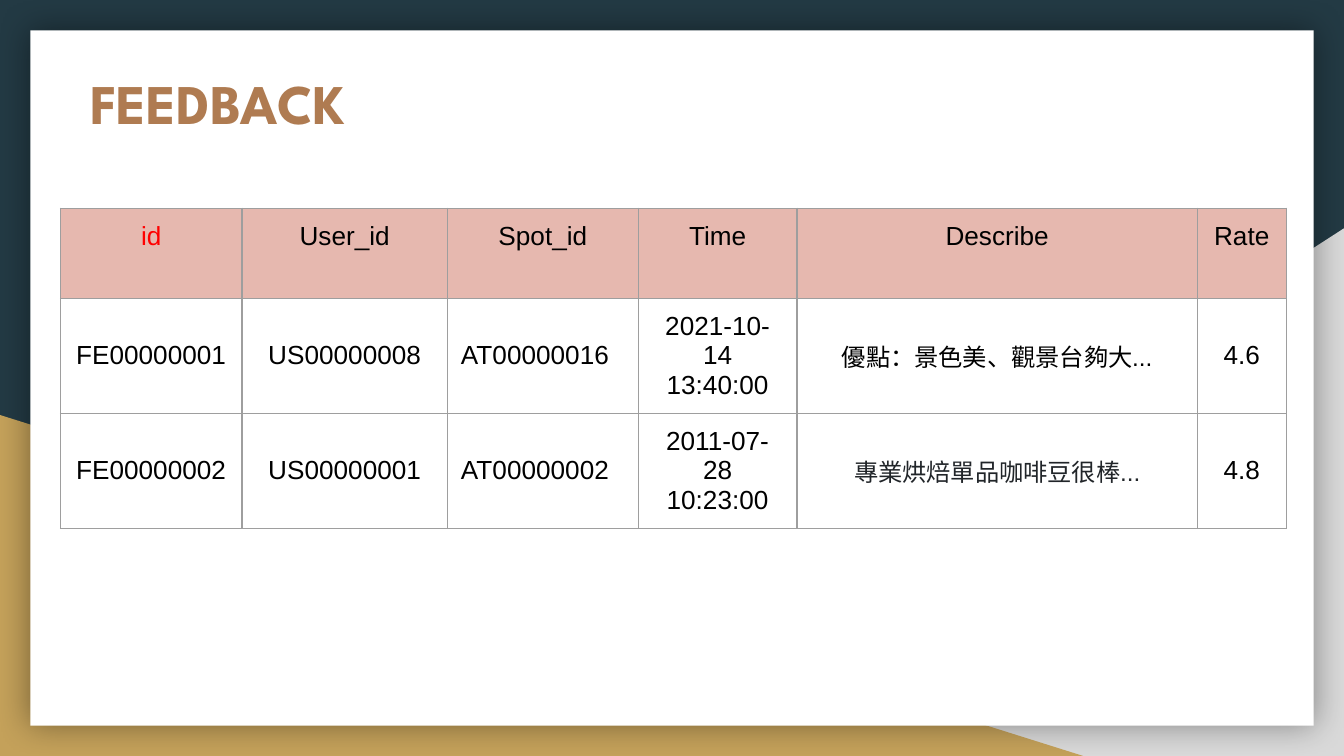
import pptx
import pptx.dml.color
import pptx.enum.shapes
import pptx.enum.text
import pptx.oxml
import pptx.oxml.ns
import pptx.util

RGB = pptx.dml.color.RGBColor
SHAPE = pptx.enum.shapes.MSO_SHAPE
ALIGN = pptx.enum.text.PP_ALIGN
ANCHOR = pptx.enum.text.MSO_ANCHOR
Pt = pptx.util.Pt
Inches = pptx.util.Inches

NAVY = RGB(0x23, 0x3A, 0x44)
GREY = RGB(0xD9, 0xD9, 0xD9)
GOLD = RGB(0xC4, 0xA1, 0x5A)
WHITE = RGB(0xFF, 0xFF, 0xFF)
BROWN = RGB(0xAF, 0x7B, 0x51)
PINK = RGB(0xE6, 0xB8, 0xAF)
RED = RGB(0xFF, 0, 0)
BLACK = RGB(0, 0, 0)
CHARCOAL = RGB(0x21, 0x25, 0x29)
BORDER = RGB(0x9E, 0x9E, 0x9E)

WIDTH = 10
HEIGHT = WIDTH * 9 / 16
MARGIN = Inches(0.1)
COLUMNS = [1.35, 1.53, 1.42, 1.18, 2.98, 0.66]
ROW_HEIGHTS = [0.67, 0.7, 0.7]
ROWS = [
    ["id", "User_id", "Spot_id", "Time", "Describe", "Rate"],
    ["FE00000001", "US00000008", "AT00000016", "2021-10-14 13:40:00",
     "優點：景色美、觀景台夠大...", "4.6"],
    ["FE00000002", "US00000001", "AT00000002", "2011-07-28 10:23:00",
     "專業烘焙單品咖啡豆很棒...", "4.8"],
]
SPOT, DESCRIBE = 2, 4


def add_run(p, text, size, font, color, bold=False):
    r = p.add_run()
    r.text = text
    r.font.size = Pt(size)
    r.font.name = font
    r.font.color.rgb = color
    r.font.bold = bold


def add_block(s, kind, box, color):
    sp = s.shapes.add_shape(kind, *map(Inches, box))
    sp.shadow.inherit = False
    sp.fill.solid()
    sp.fill.fore_color.rgb = color
    sp.line.fill.background()
    return sp


def add_backdrop(s, width, height):
    s.background.fill.solid()
    s.background.fill.fore_color.rgb = NAVY

    # Corner triangles, each resting on the bottom edge
    w, h = 0.608 * width, 0.698 * height
    right = add_block(s, SHAPE.RIGHT_TRIANGLE, (width - w, height - h, w, h), GREY)
    right._element.spPr.xfrm.set("flipH", "1")
    w, h = 0.806 * width, 0.451 * height
    add_block(s, SHAPE.RIGHT_TRIANGLE, (0, height - h, w, h), GOLD)

    # White card with a soft shadow
    edge = 0.04 * height
    card = add_block(s, SHAPE.RECTANGLE,
                     (edge, edge, width - 2 * edge, height - 2 * edge), WHITE)
    effects = card._element.spPr.find(pptx.oxml.ns.qn("a:effectLst"))
    effects.append(pptx.oxml.parse_xml(
        f'<a:outerShdw {pptx.oxml.ns.nsdecls("a")} blurRad="{Pt(18)}" dist="0" '
        'algn="ctr" rotWithShape="0"><a:srgbClr val="000000">'
        '<a:alpha val="40000"/></a:srgbClr></a:outerShdw>'))


def add_title(s, box, text):
    sp = s.shapes.title
    s.shapes._spTree.append(sp._element)  # bring in front of the card
    sp.left, sp.top, sp.width, sp.height = map(Inches, box)
    tf = sp.text_frame
    tf.margin_left = tf.margin_right = tf.margin_top = tf.margin_bottom = MARGIN
    tf.vertical_anchor = ANCHOR.TOP
    tf.auto_size = pptx.enum.text.MSO_AUTO_SIZE.NONE
    p = tf.paragraphs[0]
    p.alignment = ALIGN.LEFT
    add_run(p, text, 30, "League Spartan", BROWN, bold=True)


def set_borders(cell):
    tc_pr = cell._tc.get_or_add_tcPr()
    for side in ("lnL", "lnR", "lnT", "lnB"):
        tc_pr.append(pptx.oxml.parse_xml(
            f'<a:{side} {pptx.oxml.ns.nsdecls("a")} w="{Pt(0.75)}">'
            f'<a:solidFill><a:srgbClr val="{BORDER}"/></a:solidFill></a:{side}>'))


def fill_cell(cell, text, row, col):
    set_borders(cell)
    cell.margin_left = cell.margin_right = MARGIN
    cell.margin_top = cell.margin_bottom = MARGIN
    header = row == 0
    if header:
        cell.fill.solid()
        cell.fill.fore_color.rgb = PINK
    else:
        cell.fill.background()
    cell.vertical_anchor = ANCHOR.TOP if header else ANCHOR.MIDDLE
    p = cell.text_frame.paragraphs[0]
    p.alignment = ALIGN.LEFT if col == SPOT and not header else ALIGN.CENTER
    size = 13 if col == DESCRIBE and not header else 14
    color = {(0, 0): RED, (2, DESCRIBE): CHARCOAL}.get((row, col), BLACK)
    add_run(p, text, size, "Arial", color)


def add_feedback_table(s, left, top):
    table = s.shapes.add_table(
        len(ROWS), len(COLUMNS), Inches(left), Inches(top),
        Inches(sum(COLUMNS)), Inches(sum(ROW_HEIGHTS))).table
    table.first_row = table.horz_banding = False
    for column, width in zip(table.columns, COLUMNS):
        column.width = Inches(width)
    for i, (height, values) in enumerate(zip(ROW_HEIGHTS, ROWS)):
        table.rows[i].height = Inches(height)
        for j, text in enumerate(values):
            fill_cell(table.cell(i, j), text, i, j)


def main():
    prs = pptx.Presentation()
    prs.slide_width, prs.slide_height = Inches(WIDTH), Inches(HEIGHT)
    s = prs.slides.add_slide(prs.slide_layouts[5])
    add_backdrop(s, WIDTH, HEIGHT)
    add_title(s, (0.57, 0.41, 8.21, 1.04), "FEEDBACK")
    add_feedback_table(s, 0.45, 1.55)
    prs.save("out.pptx")


if __name__ == "__main__":
    main()
